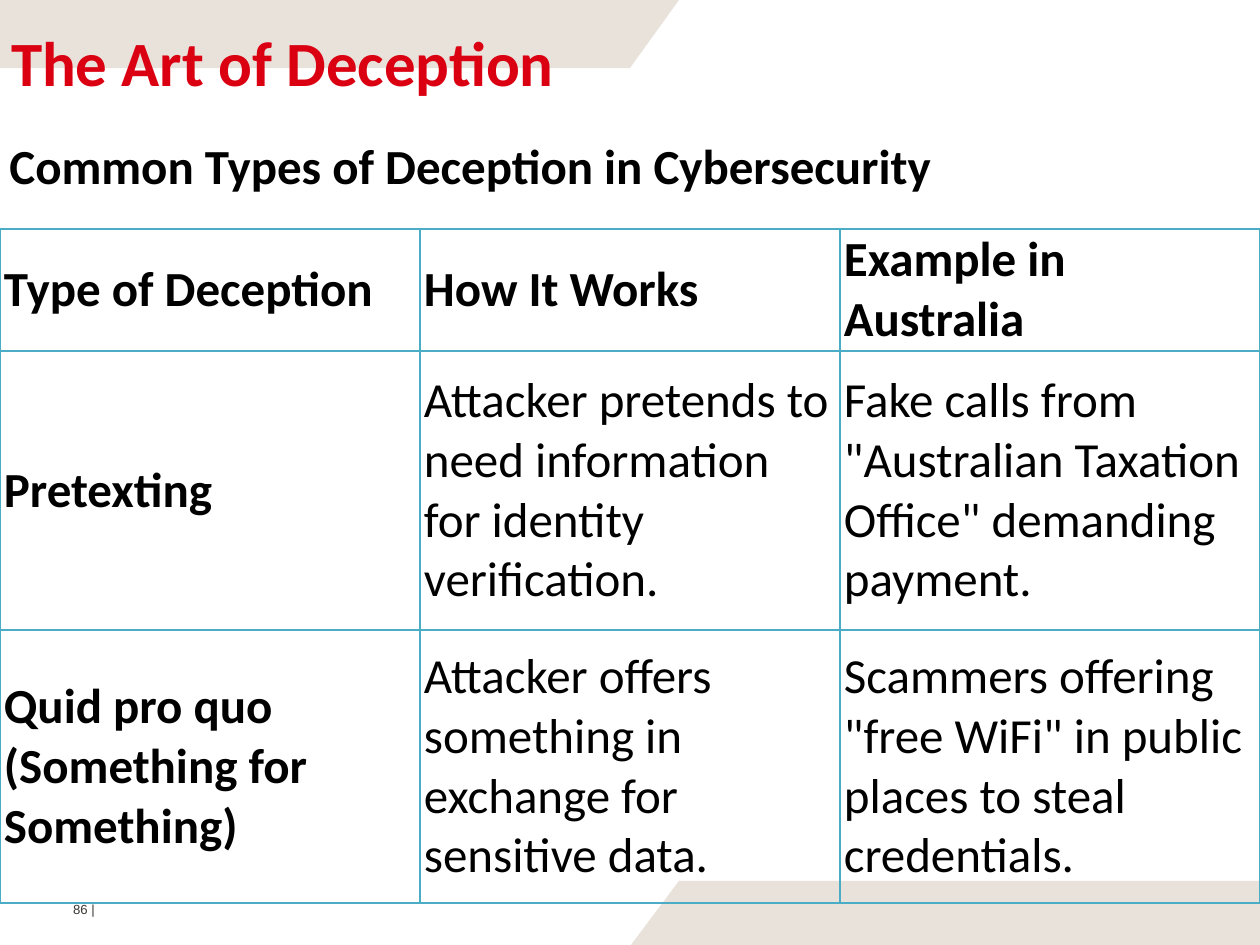
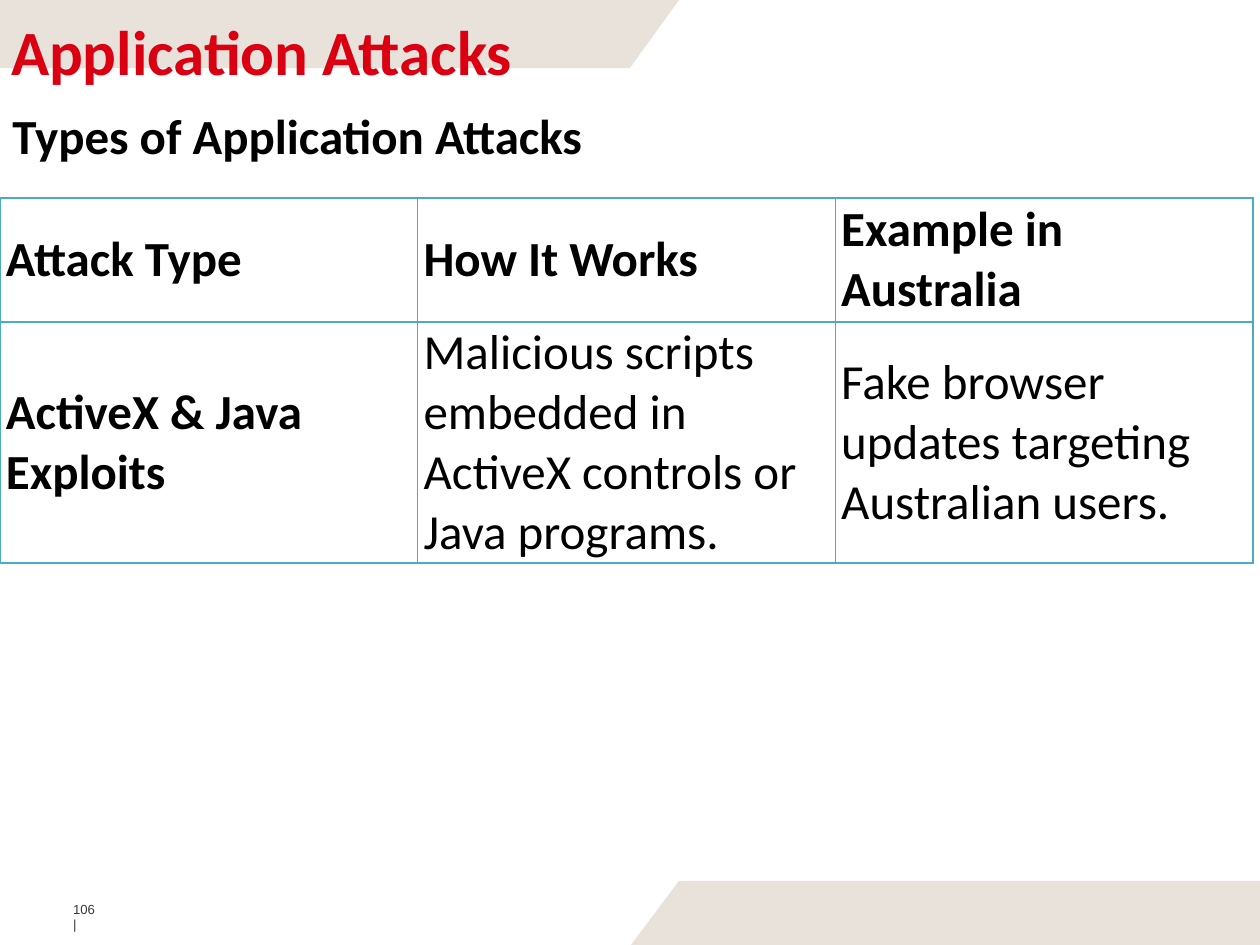
from lxml import etree
from pptx import Presentation
from pptx.dml.color import RGBColor
from pptx.enum.text import MSO_ANCHOR, MSO_AUTO_SIZE, PP_ALIGN
from pptx.oxml.ns import qn
from pptx.util import Emu, Pt

TOP, MIDDLE = MSO_ANCHOR.TOP, MSO_ANCHOR.MIDDLE
LEFT = PP_ALIGN.LEFT
NO_AUTOFIT = MSO_AUTO_SIZE.NONE

EMU_PER_PX = 914400 / 126
SLIDE_WIDTH, SLIDE_HEIGHT = 1260, 945
TITLE_ONLY = 5

RED, BLACK, GREY = "DA0012", "000000", "3C3935"
BAND_FILL, TABLE_BORDER = "E8E2DB", "4BACC6"
HEADING_FONT, NUMBER_FONT = "Calibri", "Arial"

TOP_BAND = [(679, 0), (0, 0), (0, 68), (630, 68)]
BOTTOM_BAND = [(1260, 881), (679, 881), (631, 945), (1260, 945)]

DECEPTION_ROWS = [
    ("Type of Deception", "How It Works", "Example in Australia"),
    ("Pretexting",
     "Attacker pretends to need information for identity verification.",
     'Fake calls from "Australian Taxation Office" demanding payment.'),
    ("Quid pro quo (Something for Something)",
     "Attacker offers something in exchange for sensitive data.",
     'Scammers offering "free WiFi" in public places to steal credentials.'),
]
ATTACK_ROWS = [
    ("Attack Type", "How It Works", "Example in Australia"),
    ("ActiveX & Java Exploits",
     "Malicious scripts embedded in ActiveX controls or Java programs.",
     "Fake browser updates targeting Australian users."),
]


def px(length):
    """Turn a length in px into EMU."""
    return Emu(round(length * EMU_PER_PX))


def color(hex_value):
    """Turn a hex string into a colour."""
    return RGBColor.from_string(hex_value)


def set_margins(target, left, top, right, bottom):
    """Set the inner margins of a text frame or table cell."""
    target.margin_left, target.margin_top = px(left), px(top)
    target.margin_right, target.margin_bottom = px(right), px(bottom)


def write_text(frame, text, size, hex_value, font=HEADING_FONT, bold=False):
    """Write one left-aligned paragraph into a text frame."""
    frame.word_wrap = True
    paragraph = frame.paragraphs[0]
    paragraph.text = text
    paragraph.alignment = LEFT
    paragraph.font.name = font
    paragraph.font.size = Pt(size)
    paragraph.font.bold = bold
    paragraph.font.color.rgb = color(hex_value)


def add_band(slide, points):
    """Draw a slanted band behind the title."""
    builder = slide.shapes.build_freeform(*points[0], scale=EMU_PER_PX)
    builder.add_line_segments(points[1:], close=True)
    band = builder.convert_to_shape()
    band.shadow.inherit = False
    band.fill.solid()
    band.fill.fore_color.rgb = color(BAND_FILL)
    band.line.fill.background()
    slide.shapes.title.element.addprevious(band.element)


def set_title(slide, text, top, margin_top):
    """Place and format the title placeholder."""
    title = slide.shapes.title
    title.left, title.top = px(0), px(top)
    title.width, title.height = px(893), px(100)
    frame = title.text_frame
    frame.auto_size = NO_AUTOFIT
    frame.vertical_anchor = TOP
    set_margins(frame, 11, margin_top, 0, 0)
    write_text(frame, text, 36, RED, bold=True)


def add_page_number(slide, number):
    """Add the page number at the foot of the slide."""
    box = slide.shapes.add_textbox(px(68), px(901), px(33), px(19))
    set_margins(box.text_frame, 5, 0, 0, 0)
    write_text(box.text_frame, f"{number} |", 7.5, GREY, NUMBER_FONT)


def add_subtitle(slide, text, left, top, width):
    """Add the bold line above the table."""
    box = slide.shapes.add_textbox(px(left), px(top), px(width), px(72))
    box.text_frame.vertical_anchor = MIDDLE
    write_text(box.text_frame, text, 28, BLACK, bold=True)


def set_borders(cell):
    """Draw a thin line on all four sides of a cell."""
    properties = cell._tc.get_or_add_tcPr()
    for side in ("a:lnL", "a:lnR", "a:lnT", "a:lnB"):
        line = etree.SubElement(properties, qn(side), w=str(Pt(1)))
        fill = etree.SubElement(line, qn("a:solidFill"))
        etree.SubElement(fill, qn("a:srgbClr"), val=TABLE_BORDER)


def add_grid(slide, rows, top, width, row_heights, side_margin):
    """Add a bordered table with a bold first row and first column."""
    column_count = len(rows[0])
    table = slide.shapes.add_table(
        len(rows), column_count, px(0), px(top), px(width), px(sum(row_heights))
    ).table
    table.first_row = table.horz_banding = False
    for column in table.columns:
        column.width = px(width / column_count)
    for row_index, (texts, height) in enumerate(zip(rows, row_heights)):
        table.rows[row_index].height = px(height)
        for column_index, text in enumerate(texts):
            cell = table.cell(row_index, column_index)
            set_borders(cell)
            cell.fill.background()
            cell.vertical_anchor = MIDDLE
            set_margins(cell, side_margin, 1, side_margin, 1)
            is_heading = row_index == 0 or column_index == 0
            write_text(cell.text_frame, text, 28, BLACK, bold=is_heading)


def add_page(presentation, title, number, title_top, title_margin):
    """Add a slide with the bands, title and page number."""
    slide = presentation.slides.add_slide(presentation.slide_layouts[TITLE_ONLY])
    for points in (TOP_BAND, BOTTOM_BAND):
        add_band(slide, points)
    set_title(slide, title, title_top, title_margin)
    add_page_number(slide, number)
    return slide


def main():
    """Build both slides and save the presentation."""
    presentation = Presentation()
    presentation.slide_width = px(SLIDE_WIDTH)
    presentation.slide_height = px(SLIDE_HEIGHT)

    deception = add_page(presentation, "The Art of Deception", 86, 0, 23)
    add_grid(deception, DECEPTION_ROWS, 229, 1260, (122, 279, 273), 4)
    add_subtitle(deception, "Common Types of Deception in Cybersecurity", -3, 129, 960)

    attacks = add_page(presentation, "Application Attacks", 106, 1, 12)
    add_grid(attacks, ATTACK_ROWS, 198, 1253, (124, 241), 6)
    add_subtitle(attacks, "Types of Application Attacks", 0, 99, 609)

    presentation.save("out.pptx")


if __name__ == "__main__":
    main()
